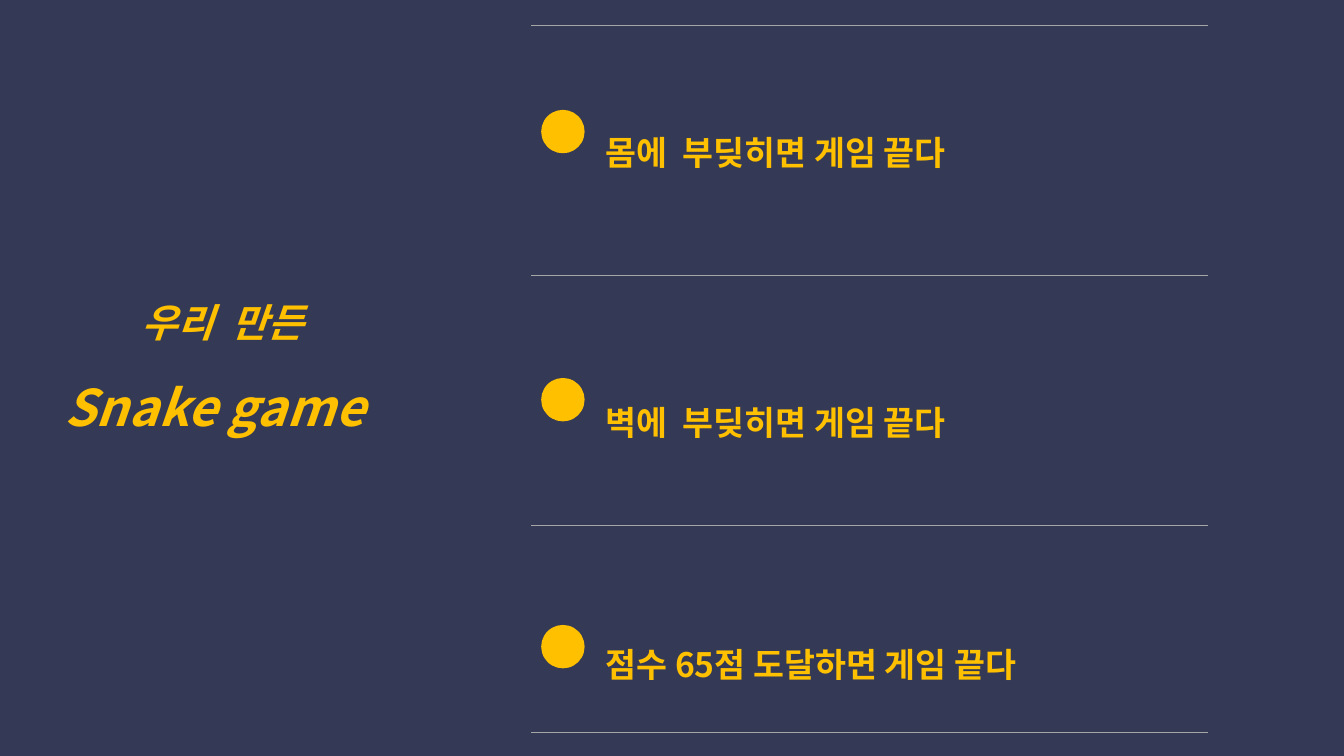
from lxml import etree
from pptx import Presentation
from pptx import util as u
from pptx.dml.color import RGBColor
from pptx.enum import shapes, text
from pptx.oxml import ns

Pt = u.Pt
FONT = "Noto Sans CJK KR"
HUES = {"back": "343956", "gold": "FFC000", "rule": "A6A6A6"}

# title lines: words, size, indent
TITLE = [("우리  만든", 28, 103.8), ("Snake game", 36, 49)]
# rules of the game: words, row height, space above words, top of dot
RULES = [
    ("몸에  부딪히면 게임 끝다", 178.6, 72.3, 78.5),
    ("벽에  부딪히면 게임 끝다", 178.6, 86.8, 270),
    ("점수 65점 도달하면 게임 끝다", 147.6, 81, 446.4),
]


def hue(name):
    return RGBColor.from_string(HUES[name])


def add_run(para, words, size, slant=False):
    run = para.add_run()
    run.text = words
    font = run.font
    font.size, font.bold, font.italic = Pt(size), True, slant
    font.name = FONT
    font.color.rgb = hue("gold")
    east = etree.SubElement(run._r.get_or_add_rPr(), ns.qn("a:ea"))
    east.set("typeface", FONT)


def add_title(slide):
    box = slide.shapes.add_textbox(Pt(-10), Pt(193), Pt(386), Pt(124))
    frame = box.text_frame
    frame.word_wrap = True
    for i, (words, size, indent) in enumerate(TITLE):
        para = frame.add_paragraph() if i else frame.paragraphs[0]
        para.line_spacing = 1.5
        para._p.get_or_add_pPr().set("marL", str(Pt(indent)))
        add_run(para, words, size, True)


def set_edges(cell):
    # rules above and below, open sides
    props = cell._tc.get_or_add_tcPr()
    for i, side in enumerate(("lnL", "lnR", "lnT", "lnB")):
        line = etree.Element(ns.qn("a:" + side), w=str(Pt(0.5)))
        if side in ("lnT", "lnB"):
            fill = etree.SubElement(line, ns.qn("a:solidFill"))
            etree.SubElement(fill, ns.qn("a:srgbClr"), val=HUES["rule"])
        else:
            etree.SubElement(line, ns.qn("a:noFill"))
        props.insert(i, line)


def add_rules(slide):
    high = sum(rule[1] for rule in RULES)
    frame = slide.shapes.add_table(
        len(RULES), 1, Pt(379.4), Pt(18), Pt(483.8), Pt(high))
    table = frame.table
    table.first_row = table.horz_banding = False
    for i, (words, height, gap, _) in enumerate(RULES):
        table.rows[i].height = Pt(height)
        cell = table.cell(i, 0)
        cell.fill.background()
        set_edges(cell)
        cell.margin_left, cell.margin_top = Pt(53.3), Pt(gap)
        cell.margin_right, cell.margin_bottom = Pt(7.2), Pt(3.6)
        cell.vertical_anchor = text.MSO_ANCHOR.TOP
        add_run(cell.text_frame.paragraphs[0], words, 24)


def add_dot(slide, top):
    dot = slide.shapes.add_shape(
        shapes.MSO_SHAPE.OVAL, Pt(386.6), Pt(top), Pt(31), Pt(31))
    dot.shadow.inherit = False
    dot.fill.solid()
    dot.fill.fore_color.rgb = hue("gold")
    dot.line.fill.background()


def main():
    deck = Presentation()
    deck.slide_width, deck.slide_height = Pt(960), Pt(540)
    slide = deck.slides.add_slide(deck.slide_layouts[6])
    slide.background.fill.solid()
    slide.background.fill.fore_color.rgb = hue("back")

    # left side
    add_title(slide)

    # right side
    add_rules(slide)
    for rule in RULES:
        add_dot(slide, rule[3])

    deck.save("out.pptx")


if __name__ == "__main__":
    main()
